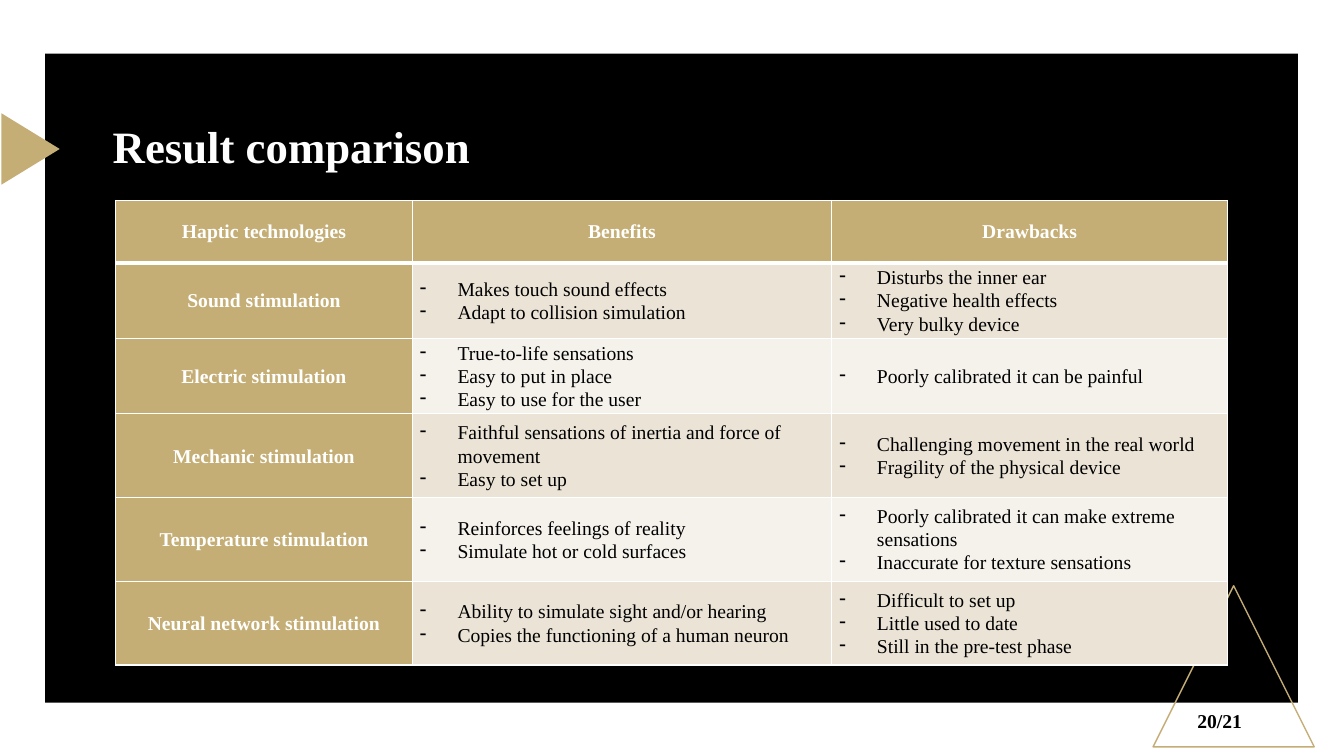
"""Build the slide that compares haptic technologies in a table."""
from dataclasses import dataclass

from lxml.etree import SubElement
from pptx import Presentation
from pptx.dml.color import RGBColor
from pptx.enum.shapes import MSO_SHAPE
from pptx.enum.text import MSO_ANCHOR, PP_ALIGN
from pptx.oxml.ns import qn
from pptx.slide import Slide
from pptx.table import _Cell
from pptx.text.text import TextFrame
from pptx.util import Cm, Pt

FONT = "Times New Roman"
GOLD, BLACK, WHITE = "C4AE75", "000000", "FFFFFF"
BANDS = ("EAE3D6", "F5F2EC")
HEADINGS = ("Haptic technologies", "Benefits", "Drawbacks")
COL_WIDTHS = (7.47, 10.57, 9.98)
ROW_HEIGHTS = (1.57, 1.78, 1.78, 2.11, 2.11, 2.11)


@dataclass
class Box:
    left: float
    top: float
    width: float
    height: float

    def emu(self) -> tuple[Cm, Cm, Cm, Cm]:
        return Cm(self.left), Cm(self.top), Cm(self.width), Cm(self.height)


@dataclass
class Decoration:
    kind: MSO_SHAPE
    box: Box
    fill: str | None = None
    line: str | None = None
    rotation: int = 0


@dataclass
class Technology:
    name: str
    benefits: list[str]
    drawbacks: list[str]


DECORATIONS = [
    Decoration(MSO_SHAPE.RECTANGLE, Box(1.14, 1.35, 31.57, 16.36), fill=BLACK),
    Decoration(MSO_SHAPE.ISOSCELES_TRIANGLE, Box(29.06, 14.76, 4.06, 4.06), line=GOLD),
    Decoration(MSO_SHAPE.ISOSCELES_TRIANGLE, Box(-0.13, 3.02, 1.8, 1.47), fill=GOLD, rotation=90),
]

TECHNOLOGIES = [
    Technology("Sound stimulation",
               ["Makes touch sound effects", "Adapt to collision simulation"],
               ["Disturbs the inner ear", "Negative health effects", "Very bulky device"]),
    Technology("Electric stimulation",
               ["True-to-life sensations", "Easy to put in place", "Easy to use for the user"],
               ["Poorly calibrated it can be painful"]),
    Technology("Mechanic stimulation",
               ["Faithful sensations of inertia and force of movement", "Easy to set up"],
               ["Challenging movement in the real world", "Fragility of the physical device"]),
    Technology("Temperature stimulation",
               ["Reinforces feelings of reality", "Simulate hot or cold surfaces"],
               ["Poorly calibrated it can make extreme sensations", "Inaccurate for texture sensations"]),
    Technology("Neural network stimulation",
               ["Ability to simulate sight and/or hearing", "Copies the functioning of a human neuron"],
               ["Difficult to set up", "Little used to date", "Still in the pre-test phase"]),
]


def rgb(color: str) -> RGBColor:
    return RGBColor.from_string(color)


def write(tf: TextFrame, lines: list[str], *, size: float = 14, color: str = BLACK,
          bold: bool = False, align: PP_ALIGN = PP_ALIGN.LEFT, spacing: float = 1.0,
          after: float = 0, bullet: str | None = None) -> None:
    tf.word_wrap = True
    for i, line in enumerate(lines):
        p = tf.paragraphs[0] if i == 0 else tf.add_paragraph()
        if bullet:
            pPr = p._p.get_or_add_pPr()
            pPr.set("marL", str(Cm(0.95)))
            pPr.set("indent", str(Cm(-0.95)))
            SubElement(pPr, qn("a:buChar"), char=bullet)
        p.alignment = align
        p.line_spacing = spacing
        p.space_after = Pt(after if line is lines[-1] else 0)
        r = p.add_run()
        r.text = line
        r.font.name, r.font.size, r.font.bold = FONT, Pt(size), bold
        r.font.color.rgb = rgb(color)


def add_decoration(s: Slide, item: Decoration) -> None:
    sp = s.shapes.add_shape(item.kind, *item.box.emu())
    sp.shadow.inherit = False
    sp.rotation = item.rotation
    if item.fill:
        sp.fill.solid()
        sp.fill.fore_color.rgb = rgb(item.fill)
    else:
        sp.fill.background()
    if item.line:
        sp.line.color.rgb = rgb(item.line)
        sp.line.width = Pt(1)
    else:
        sp.line.fill.background()


def add_label(s: Slide, text: str, box: Box, **style) -> None:
    tf = s.shapes.add_textbox(*box.emu()).text_frame
    tf.vertical_anchor = MSO_ANCHOR.MIDDLE
    write(tf, [text], bold=True, **style)


def style_cell(cell: _Cell, fill: str, top: float, bottom: float) -> None:
    cell.vertical_anchor = MSO_ANCHOR.MIDDLE
    cell.margin_left = cell.margin_right = Cm(0.19)
    cell.margin_top = cell.margin_bottom = 0
    tcPr = cell._tc.get_or_add_tcPr()
    for side, width in zip("LRTB", (1, 1, top, bottom)):
        ln = SubElement(tcPr, qn(f"a:ln{side}"), w=str(Pt(width)))
        SubElement(SubElement(ln, qn("a:solidFill")), qn("a:srgbClr"), val=WHITE)
    cell.fill.solid()
    cell.fill.fore_color.rgb = rgb(fill)


def add_comparison(s: Slide) -> None:
    rows = [[[heading] for heading in HEADINGS]]
    rows += [[[t.name], t.benefits, t.drawbacks] for t in TECHNOLOGIES]
    box = Box(2.92, 5.05, sum(COL_WIDTHS), sum(ROW_HEIGHTS))
    table = s.shapes.add_table(len(rows), len(HEADINGS), *box.emu()).table
    table.first_row = table.horz_banding = False
    for column, width in zip(table.columns, COL_WIDTHS):
        column.width = Cm(width)
    for row, height in zip(table.rows, ROW_HEIGHTS):
        row.height = Cm(height)
    for i, row in enumerate(rows):
        for j, lines in enumerate(row):
            cell = table.cell(i, j)
            heading = i == 0 or j == 0
            style_cell(cell, GOLD if heading else BANDS[(i - 1) % 2],
                       top=3 if i == 1 else 1, bottom=3 if i == 0 else 1)
            write(cell.text_frame, lines, bold=heading, spacing=1.07,
                  color=WHITE if heading else BLACK,
                  align=PP_ALIGN.CENTER if heading else PP_ALIGN.LEFT,
                  after=0 if j == 1 else 8, bullet=None if heading else "-")


def main() -> None:
    prs = Presentation()
    prs.slide_width, prs.slide_height = Cm(33.87), Cm(19.05)
    s = prs.slides.add_slide(prs.slide_layouts[6])
    for item in DECORATIONS:
        add_decoration(s, item)
    add_label(s, "Result comparison", Box(2.59, 2.49, 28.96, 2.54),
              size=32, color="FFFEFF", spacing=0.9)
    add_comparison(s)
    add_label(s, "20/21", Box(23.93, 17.65, 7.62, 1.02), align=PP_ALIGN.RIGHT)
    prs.save("out.pptx")


if __name__ == "__main__":
    main()
